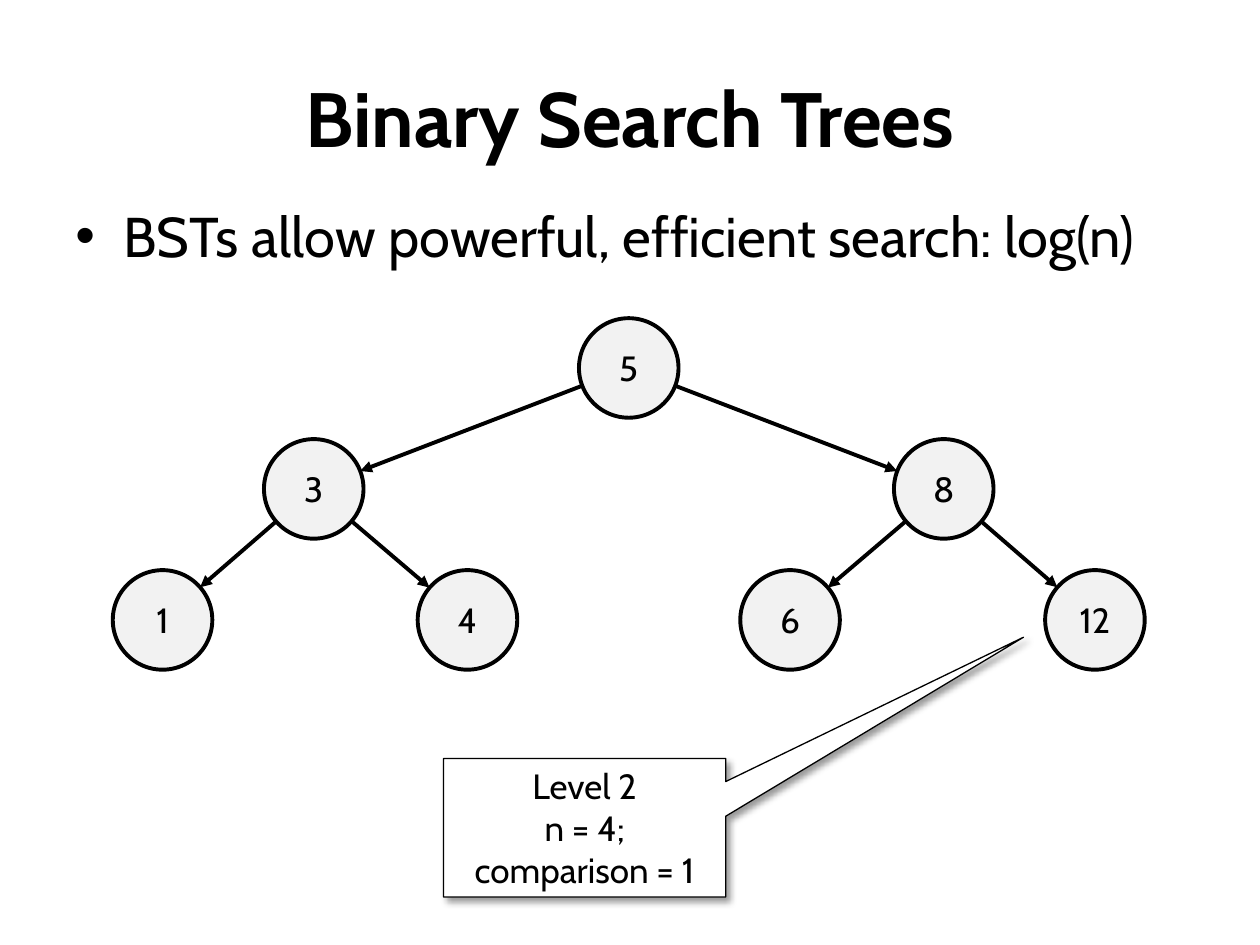
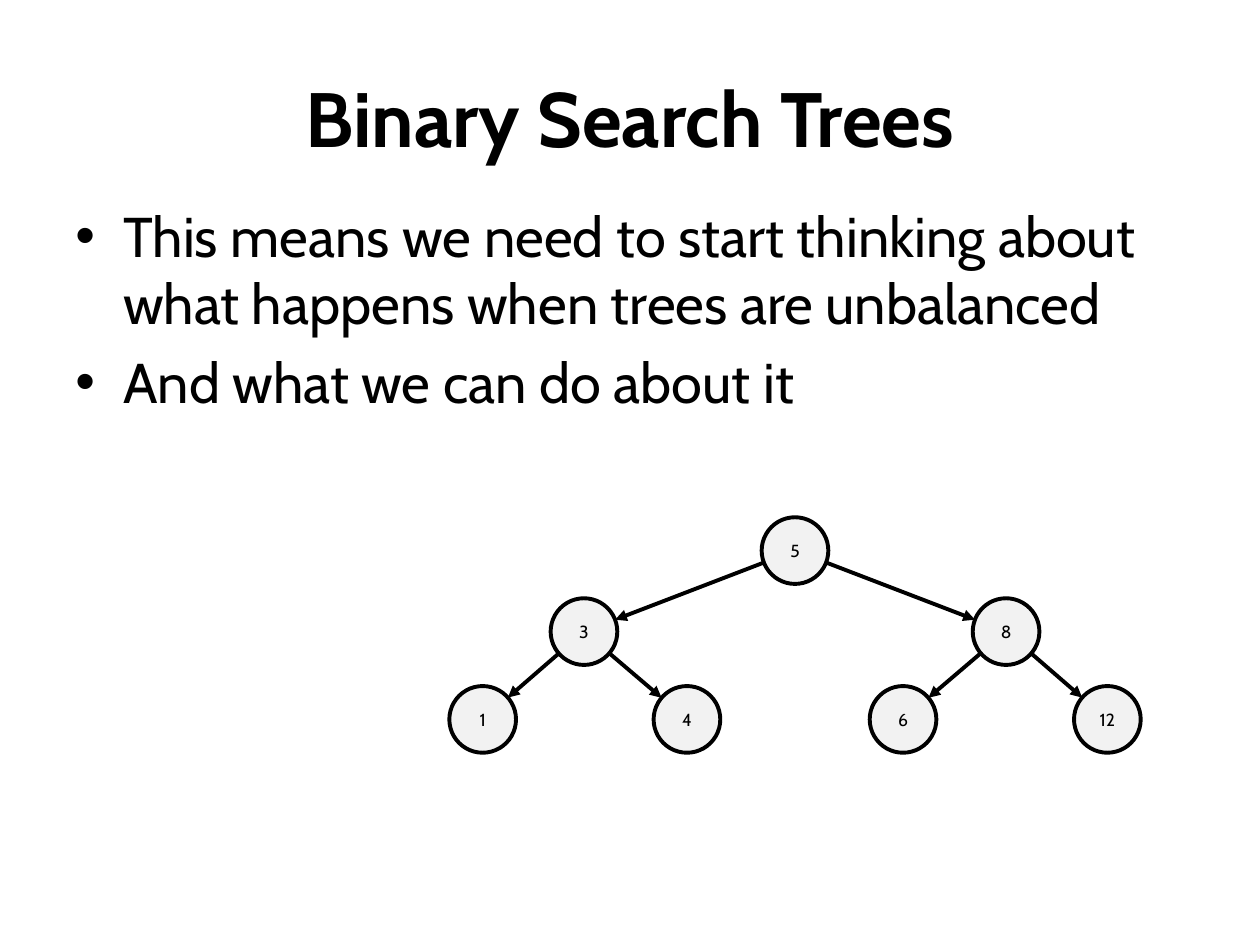
import math

from lxml import etree
from pptx import Presentation
from pptx.dml.color import RGBColor
from pptx.enum import shapes, text
from pptx.oxml import parse_xml
from pptx.oxml.ns import nsdecls, qn
from pptx.util import Inches, Pt

FONT = "Cabin"
BLACK, WHITE, NODE_FILL = "000000", "FFFFFF", "F2F2F2"
W, H = 10, 7.5
MARGIN = 0.05 * W
BODY_TOP = 1.55
INDENT = 0.38

# Node value: parent, then offset of its centre from the root
NODES = {
    "5": (None, 0, 0),
    "3": ("5", -2.5, 0.96),
    "8": ("5", 2.5, 0.96),
    "1": ("3", -3.7, 2),
    "4": ("3", -1.28, 2),
    "6": ("8", 1.28, 2),
    "12": ("8", 3.7, 2),
}
RADIUS = 0.395

# Bullets, root centre, tree scale, node text size
SLIDES = [
    (["BSTs allow powerful, efficient search: log(n)"], (4.99, 2.92), 1, 20),
    (["This means we need to start thinking about what happens when trees are unbalanced",
      "And what we can do about it"], (6.31, 4.37), 0.67, 10),
]


def style(fmt, color):
    """Give a fill a solid hex colour."""
    fmt.solid()
    fmt.fore_color.rgb = RGBColor.from_string(color)


def write(sp, lines, size, bold=False, align=text.PP_ALIGN.CENTER, anchor=text.MSO_ANCHOR.MIDDLE):
    tf = sp.text_frame
    tf.text = "\n".join(lines)
    tf.word_wrap = True
    tf.vertical_anchor = anchor
    for p in tf.paragraphs:
        p.alignment = align
        for r in p.runs:
            r.font.name, r.font.size, r.font.bold = FONT, Pt(size), bold
            style(r.font.fill, BLACK)
    return tf


prs = Presentation()
prs.slide_width, prs.slide_height = Inches(W), Inches(H)

for bullets, (root_x, root_y), scale, size in SLIDES:
    s = prs.slides.add_slide(prs.slide_layouts[6])
    style(s.background.fill, WHITE)

    title = s.shapes.add_textbox(Inches(MARGIN), Inches(0.04 * H), Inches(W - 2 * MARGIN), Inches(1.25))
    write(title, ["Binary Search Trees"], 44, bold=True)

    body = s.shapes.add_textbox(Inches(MARGIN), Inches(BODY_TOP), Inches(W - 2 * MARGIN), Inches(5.6))
    tf = write(body, bullets, 32, align=text.PP_ALIGN.LEFT, anchor=text.MSO_ANCHOR.TOP)
    for p in tf.paragraphs:
        p.space_before = Pt(6.4)
        pPr = p._p.get_or_add_pPr()
        pPr.set("marL", str(Inches(INDENT)))
        pPr.set("indent", str(-Inches(INDENT)))
        etree.SubElement(pPr, qn("a:buFont"), typeface="Arial")
        etree.SubElement(pPr, qn("a:buChar"), char="•")

    radius = RADIUS * scale
    centres = {value: (root_x + dx * scale, root_y + dy * scale) for value, (_, dx, dy) in NODES.items()}
    for value, (parent, _, _) in NODES.items():
        x, y = centres[value]
        node = s.shapes.add_shape(shapes.MSO_SHAPE.OVAL, Inches(x - radius), Inches(y - radius),
                                  Inches(2 * radius), Inches(2 * radius))
        node.shadow.inherit = False
        style(node.fill, NODE_FILL)
        style(node.line.fill, BLACK)
        node.line.width = Pt(2.25)
        write(node, [value], size).word_wrap = False
        if parent is None:
            continue

        # The arrow runs from rim to rim along the line between the centres
        px, py = centres[parent]
        angle = math.atan2(y - py, x - px)
        rim_x, rim_y = radius * math.cos(angle), radius * math.sin(angle)
        edge = s.shapes.add_connector(shapes.MSO_CONNECTOR.STRAIGHT, Inches(px + rim_x), Inches(py + rim_y),
                                      Inches(x - rim_x), Inches(y - rim_y))
        style(edge.line.fill, BLACK)
        edge.line.width = Pt(2.25)
        etree.SubElement(edge.line._get_or_add_ln(), qn("a:tailEnd"), type="triangle")
        etree.SubElement(edge._element.spPr, qn("a:effectLst"))

callout = prs.slides[0].shapes.add_shape(shapes.MSO_SHAPE.RECTANGULAR_CALLOUT, Inches(3.52), Inches(6.02),
                                         Inches(2.24), Inches(1.1))
callout.adjustments[0], callout.adjustments[1] = 1.555, -1.375
style(callout.fill, WHITE)
style(callout.line.fill, BLACK)
callout.line.width = Pt(0.75)
write(callout, ["Level 2", "n = 4; comparison = 1"], 20)
callout.shadow.inherit = False
callout._element.spPr.find(qn("a:effectLst")).append(parse_xml(
    f'<a:outerShdw {nsdecls("a")} blurRad="{Pt(4)}" dist="{Pt(3)}" dir="{45 * 60000}" rotWithShape="0">'
    f'<a:srgbClr val="{BLACK}"><a:alpha val="40000"/></a:srgbClr></a:outerShdw>'))

prs.save("out.pptx")
